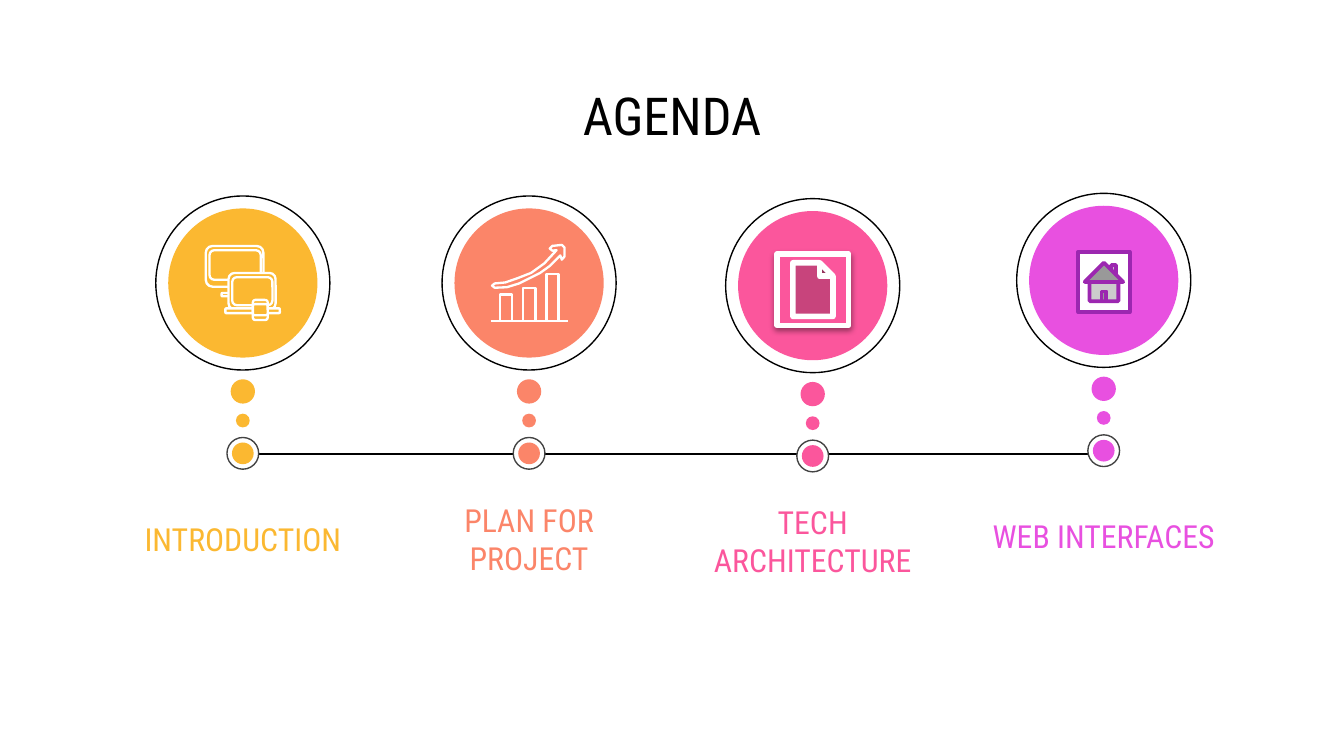
from dataclasses import dataclass

import lxml.etree
import pptx
import pptx.dml.color
import pptx.enum.shapes
import pptx.enum.text
import pptx.oxml
import pptx.oxml.ns
import pptx.util

Cm = pptx.util.Cm
Pt = pptx.util.Pt
SHAPES = pptx.enum.shapes.MSO_SHAPE


@dataclass(frozen=True)
class Theme:
    font: str = "Roboto Condensed"
    title_size: int = 28
    label_size: int = 17
    black: str = "000000"
    white: str = "FFFFFF"
    node_line: str = "434343"
    yellow: str = "FBB831"
    coral: str = "FB8569"
    pink: str = "FB569C"
    violet: str = "E850E0"
    purple: str = "9C27B0"


THEME = Theme()

DEVICE_PARTS = [
    (-0.70, -0.70, 1.09, 0.77),
    (-0.63, -0.62, 0.97, 0.56),
    (-0.40, 0.19, 0.50, 0.06),
    (-0.27, -0.19, 0.89, 0.69),
    (-0.20, -0.11, 0.76, 0.53),
    (-0.33, 0.48, 1.03, 0.09),
    (0.19, 0.32, 0.28, 0.38),
    (0.19, 0.40, 0.28, 0.21),
]

GROWTH_ARROW = [
    (-0.65, 0.01), (-0.45, -0.01), (-0.22, -0.09), (0.04, -0.19),
    (0.29, -0.37), (0.52, -0.62), (0.44, -0.61), (0.39, -0.65),
    (0.44, -0.70), (0.62, -0.72), (0.67, -0.67), (0.67, -0.50),
    (0.62, -0.44), (0.59, -0.52), (0.39, -0.32), (0.21, -0.19),
    (0.01, -0.09), (-0.19, 0.01), (-0.42, 0.08), (-0.65, 0.09),
    (-0.70, 0.05),
]


def rgb(color):
    return pptx.dml.color.RGBColor.from_string(color)


def style_shape(shape, fill=None, line=None, line_width=0.75):
    shape.shadow.inherit = False
    if fill:
        shape.fill.solid()
        shape.fill.fore_color.rgb = rgb(fill)
    else:
        shape.fill.background()
    if line:
        shape.line.color.rgb = rgb(line)
        shape.line.width = Pt(line_width)
    else:
        shape.line.fill.background()


def add_preset(slide, kind, left, top, width, height, **style):
    shape = slide.shapes.add_shape(kind, Cm(left), Cm(top), Cm(width), Cm(height))
    style_shape(shape, **style)
    return shape


def add_circle(slide, x, y, diameter, **style):
    radius = diameter / 2
    add_preset(slide, SHAPES.OVAL, x - radius, y - radius, diameter, diameter, **style)


def add_line(slide, left, right, y, color, line_width):
    connector = slide.shapes.add_connector(
        pptx.enum.shapes.MSO_CONNECTOR.STRAIGHT, Cm(left), Cm(y), Cm(right), Cm(y))
    connector.line.color.rgb = rgb(color)
    connector.line.width = Pt(line_width)
    properties = connector._element.spPr
    lxml.etree.SubElement(properties, pptx.oxml.ns.qn("a:effectLst"))


def add_label(slide, text, x, y, width, height, size, color):
    box = slide.shapes.add_textbox(
        Cm(x - width / 2), Cm(y - height / 2), Cm(width), Cm(height))
    frame = box.text_frame
    frame.word_wrap = True
    frame.vertical_anchor = pptx.enum.text.MSO_ANCHOR.MIDDLE
    frame.margin_left = frame.margin_right = Cm(0.25)
    frame.margin_top = frame.margin_bottom = Cm(0.25)
    frame.text = text
    paragraph = frame.paragraphs[0]
    paragraph.alignment = pptx.enum.text.PP_ALIGN.CENTER
    font = paragraph.runs[0].font
    font.name = THEME.font
    font.size = Pt(size)
    font.color.rgb = rgb(color)


def add_drop_shadow(shape):
    effects = shape._element.spPr.find(pptx.oxml.ns.qn("a:effectLst"))
    effects.append(pptx.oxml.parse_xml(
        f'<a:outerShdw {pptx.oxml.ns.nsdecls("a")} blurRad="{Pt(3.1)}" '
        f'dist="{Pt(1.6)}" dir="5400000" algn="t" rotWithShape="0">'
        f'<a:srgbClr val="{THEME.black}"><a:alpha val="38000"/></a:srgbClr>'
        '</a:outerShdw>'))


def add_devices_icon(slide, x, y, color):
    for left, top, width, height in DEVICE_PARTS:
        add_preset(slide, SHAPES.ROUNDED_RECTANGLE, x + left, y + top, width, height,
                   fill=color, line=THEME.white, line_width=1.25)


def add_growth_icon(slide, x, y, color):
    bottom = 0.72
    for index, top in enumerate([0.22, 0.09, -0.17]):
        add_preset(slide, SHAPES.RECTANGLE, x - 0.55 + index * 0.44, y + top,
                   0.23, bottom - top, fill=color, line=THEME.white, line_width=1.25)
    add_line(slide, x - 0.73, x + 0.74, y + bottom, THEME.white, 1.25)
    points = [(Cm(x + across), Cm(y + down)) for across, down in GROWTH_ARROW]
    builder = slide.shapes.build_freeform(*points[0])
    builder.add_line_segments(points[1:], close=True)
    style_shape(builder.convert_to_shape(), fill=color, line=THEME.white,
                line_width=1.25)


def add_document_icon(slide, x, y, color):
    button = add_preset(slide, SHAPES.ACTION_BUTTON_DOCUMENT, x - 0.67, y - 0.6,
                        1.35, 1.35, fill=color, line=THEME.white, line_width=3)
    add_drop_shadow(button)


def add_home_icon(slide, x, y, color):
    add_preset(slide, SHAPES.ACTION_BUTTON_HOME, x - 0.48, y - 0.54, 0.97, 1.14,
               fill=THEME.white, line=THEME.purple, line_width=2)


def add_milestone(slide, text, x, y, color, add_icon):
    add_circle(slide, x, y, 3.29, line=THEME.black)
    add_circle(slide, x, y, 2.82, fill=color)
    add_circle(slide, x, y + 2.05, 0.46, fill=color)
    add_circle(slide, x, y + 2.60, 0.26, fill=color)
    add_circle(slide, x, y + 3.22, 0.60, fill=THEME.white, line=THEME.node_line)
    add_circle(slide, x, y + 3.22, 0.41, fill=color)
    add_label(slide, text, x, y + 4.83, 5.23, 1.19, THEME.label_size, color)
    add_icon(slide, x, y, color)


def main():
    presentation = pptx.Presentation()
    presentation.slide_width = Cm(25.4)
    presentation.slide_height = Cm(14.29)
    slide = presentation.slides.add_slide(presentation.slide_layouts[6])

    milestones = [
        ("INTRODUCTION", 4.59, 5.35, THEME.yellow, add_devices_icon),
        ("PLAN FOR PROJECT", 10.0, 5.35, THEME.coral, add_growth_icon),
        ("TECH ARCHITECTURE", 15.36, 5.40, THEME.pink, add_document_icon),
        ("WEB INTERFACES", 20.86, 5.30, THEME.violet, add_home_icon),
    ]
    add_line(slide, milestones[0][1], milestones[-1][1], 8.58, THEME.black, 1.5)
    add_label(slide, "AGENDA", 12.7, 2.17, 21.46, 1.35, THEME.title_size, THEME.black)
    for milestone in milestones:
        add_milestone(slide, *milestone)

    presentation.save("out.pptx")


if __name__ == "__main__":
    main()
